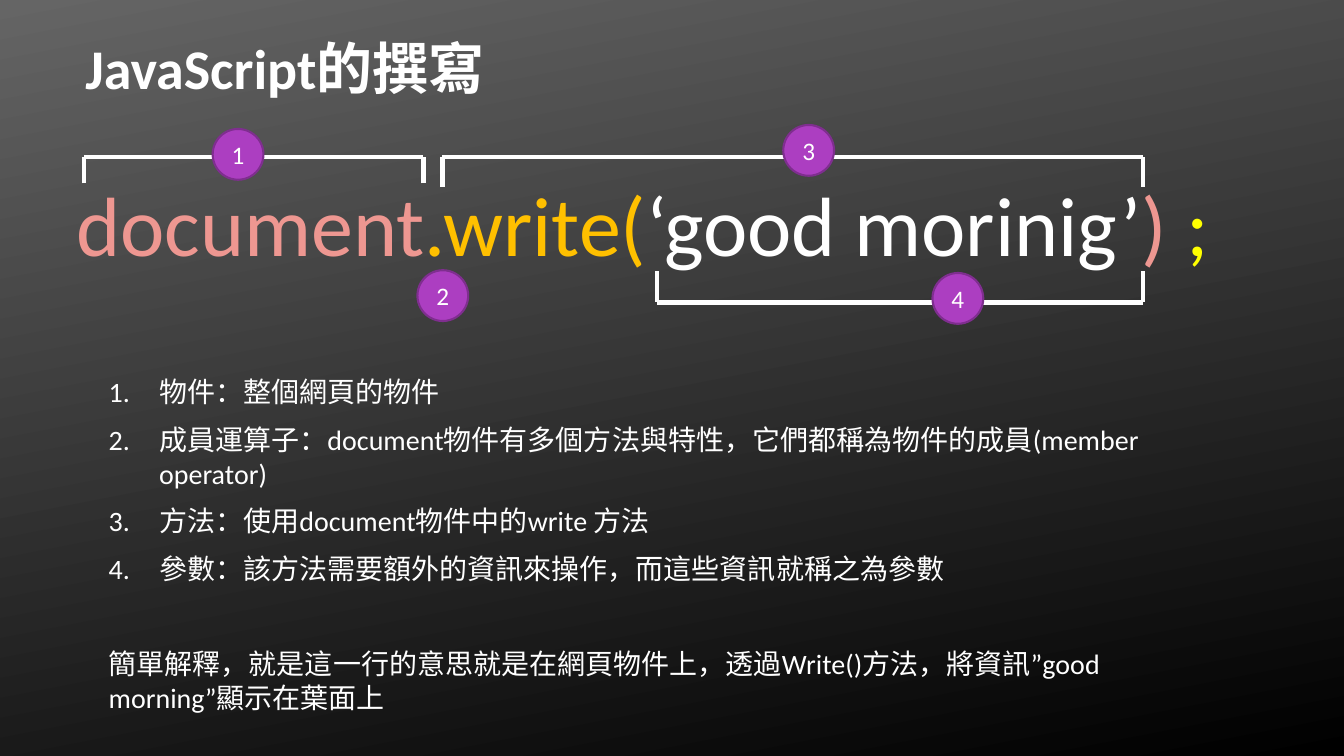
from pptx import Presentation
from pptx.dml.color import RGBColor
from pptx.enum.shapes import MSO_CONNECTOR as LINK, MSO_SHAPE as SHAPE
from pptx.enum.text import MSO_ANCHOR as ANCHOR, MSO_AUTO_SIZE as FIT, PP_ALIGN as ALIGN
from pptx.oxml.ns import qn
from pptx.util import Cm, Pt
from lxml.etree import SubElement as Sub

FONT = "Calibri"
WHITE, PINK, GOLD, YELLOW = "FFFFFF", "EE9791", "FFC000", "FFFF00"
PURPLE, PLUM = "AC3EC1", "7F2E8F"

CODE = [("document", PINK), (".write(", GOLD), ("‘good morinig’", WHITE),
        (") ", PINK), (";", YELLOW)]
# left, right, bar height, leg end
BRACKETS = [(2.11, 10.67, 3.96, 4.62),
            (11.15, 28.8, 3.96, 4.7),
            (16.56, 28.8, 7.62, 6.83)]
DOTS = [(5.36, 3.25), (10.52, 6.81), (19.74, 3.15), (23.5, 6.88)]
PARTS = ["物件：整個網頁的物件",
         "成員運算子：document物件有多個方法與特性，它們都稱為物件的成員(member operator)",
         "方法：使用document物件中的write 方法",
         "參數：該方法需要額外的資訊來操作，而這些資訊就稱之為參數"]
SUMMARY = "簡單解釋，就是這一行的意思就是在網頁物件上，透過Write()方法，將資訊”good morning”顯示在葉面上"


def color(code):
    return RGBColor.from_string(code)


class Deck:
    def __init__(self):
        self.prs = Presentation()
        self.prs.slide_width, self.prs.slide_height = Cm(33.87), Cm(19.05)
        self.slide = self.prs.slides.add_slide(self.prs.slide_layouts[6])
        self.shapes = self.slide.shapes

    def shade(self, start, end, angle):
        fill = self.slide.background.fill
        fill.gradient()
        fill.gradient_angle = angle
        for stop, code in zip(fill.gradient_stops, (start, end)):
            stop.color.rgb = color(code)

    def run(self, para, text, size, code=WHITE, bold=False):
        run = para.add_run()
        run.text = text
        font = run.font
        font.name, font.size, font.bold = FONT, Pt(size), bold
        font.color.rgb = color(code)
        # East Asian glyphs share the Latin font's line height
        Sub(run._r.get_or_add_rPr(), qn("a:ea")).set("typeface", FONT)

    def box(self, left, top, width, height, wrap=True):
        frame = self.shapes.add_textbox(Cm(left), Cm(top), Cm(width), Cm(height)).text_frame
        frame.word_wrap = wrap
        return frame

    def number(self, para):
        """Turn the paragraph into a numbered list item."""
        props = para._p.get_or_add_pPr()
        props.set("marL", str(Cm(1.27)))
        props.set("indent", str(-Cm(1.27)))
        Sub(Sub(props, qn("a:buClr")), qn("a:srgbClr")).set("val", WHITE)
        Sub(props, qn("a:buFont")).set("typeface", FONT)
        Sub(props, qn("a:buAutoNum")).set("type", "arabicPeriod")

    def line(self, x1, y1, x2, y2):
        line = self.shapes.add_connector(LINK.STRAIGHT, Cm(x1), Cm(y1), Cm(x2), Cm(y2))
        line.line.color.rgb = color(WHITE)
        line.line.width = Pt(3)
        Sub(line._element.spPr, qn("a:effectLst"))

    def bracket(self, left, right, bar, leg):
        for x in (left, right):
            self.line(x, leg, x, bar)
        self.line(right, bar, left, bar)

    def dot(self, left, top, label):
        dot = self.shapes.add_shape(SHAPE.FLOWCHART_CONNECTOR, Cm(left), Cm(top),
                                    Cm(1.28), Cm(1.28))
        dot.shadow.inherit = False
        dot.fill.solid()
        dot.fill.fore_color.rgb = color(PURPLE)
        dot.line.color.rgb = color(PLUM)
        dot.line.width = Pt(1.5)
        frame = dot.text_frame
        frame.vertical_anchor = ANCHOR.MIDDLE
        para = frame.paragraphs[0]
        para.alignment = ALIGN.CENTER
        self.run(para, label, 18)


def main():
    deck = Deck()
    deck.shade("656565", "000000", 281)

    title = deck.box(1.9, 0.41, 28.14, 2.57)
    title.vertical_anchor = ANCHOR.MIDDLE
    deck.run(title.paragraphs[0], "JavaScript的撰寫", 40, bold=True)

    body = deck.box(2.49, 9.32, 28.14, 11.89)
    for i, part in enumerate(PARTS):
        para = body.add_paragraph() if i else body.paragraphs[0]
        deck.number(para)
        para.space_after = Pt(10)
        deck.run(para, part, 20)
    para = body.add_paragraph()
    para.space_before = Pt(34)
    deck.run(para, SUMMARY, 20)

    code = deck.box(1.68, 4.22, 29.57, 2.82, wrap=False)
    code.auto_size = FIT.SHAPE_TO_FIT_TEXT
    for text, tint in CODE:
        deck.run(code.paragraphs[0], text, 60, tint)

    for bracket in BRACKETS:
        deck.bracket(*bracket)
    for i, (left, top) in enumerate(DOTS, 1):
        deck.dot(left, top, str(i))

    deck.prs.save("out.pptx")


if __name__ == "__main__":
    main()
